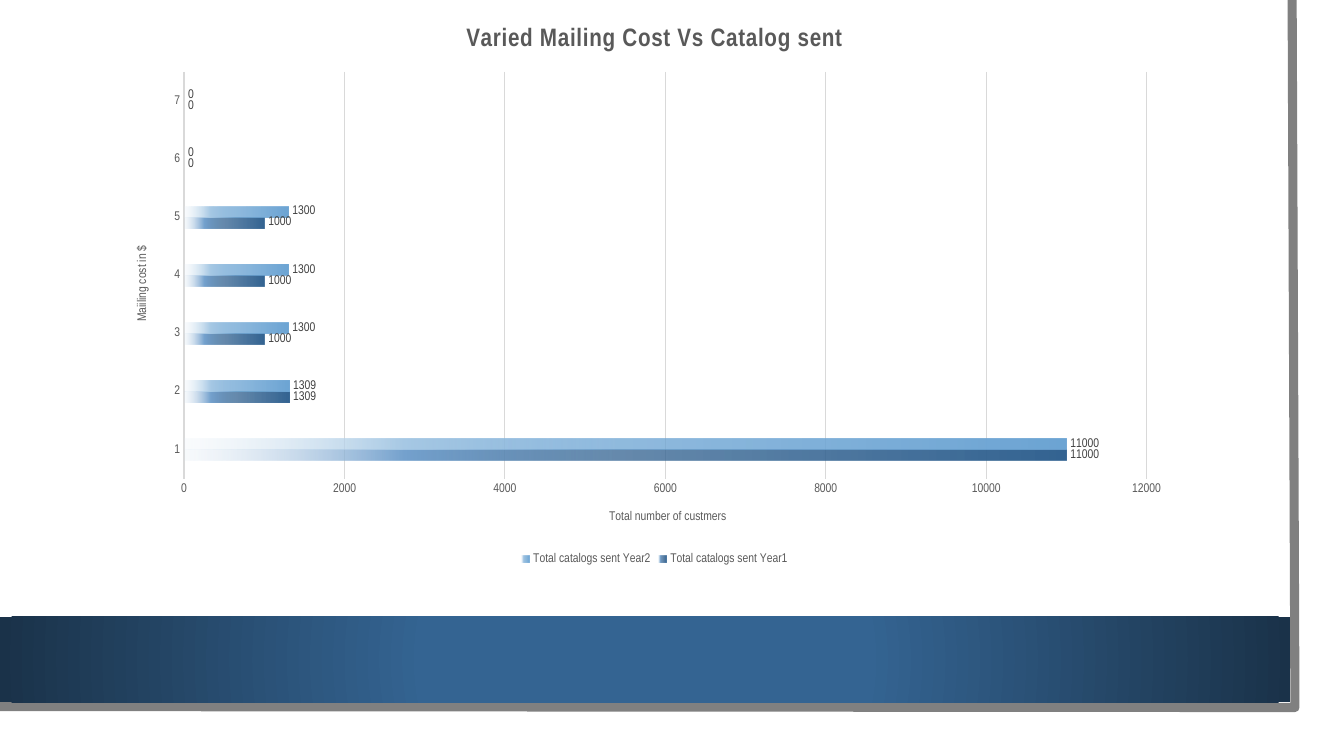
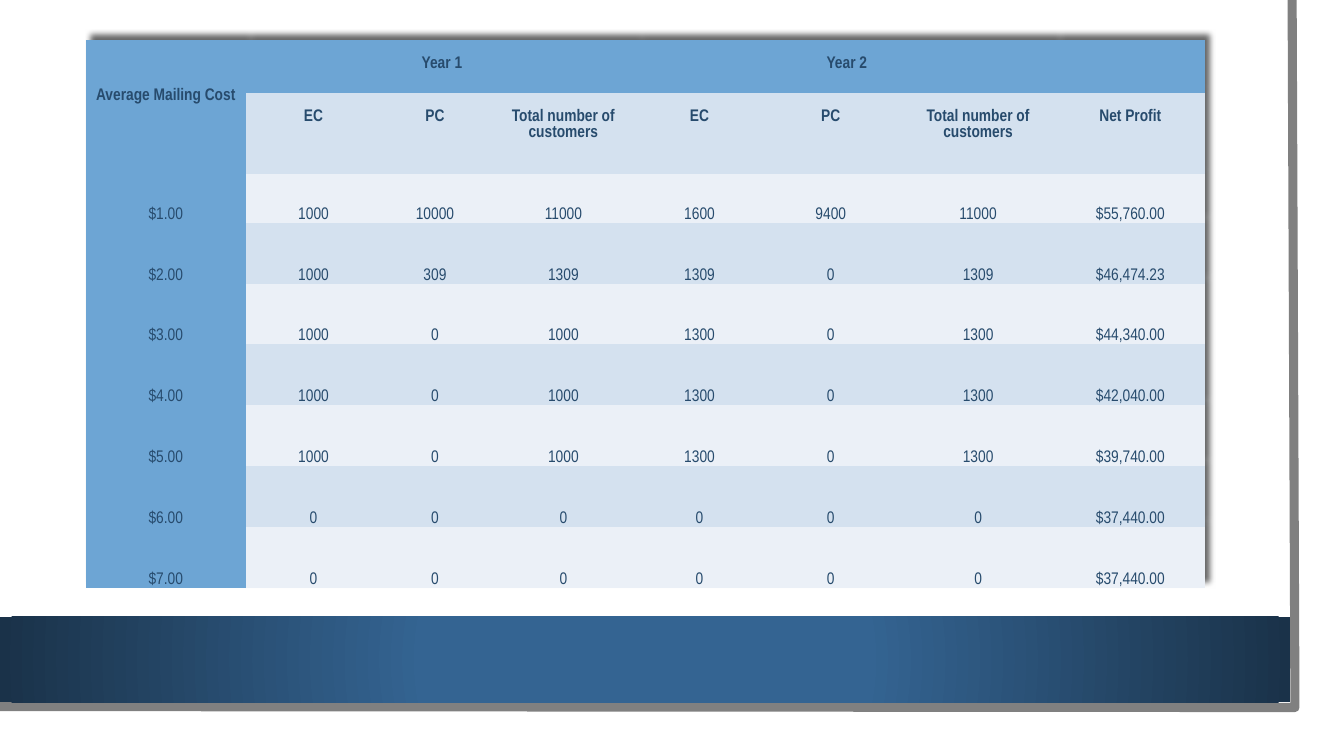
from lxml import etree
from pptx import Presentation
from pptx.chart.data import CategoryChartData
from pptx.dml.color import RGBColor
from pptx.enum.chart import XL_CHART_TYPE, XL_LABEL_POSITION, XL_LEGEND_POSITION, XL_TICK_MARK
from pptx.enum.shapes import MSO_SHAPE
from pptx.enum.text import MSO_ANCHOR, PP_ALIGN
from pptx.oxml import parse_xml
from pptx.oxml.ns import nsdecls, qn
from pptx.util import Pt

BAR_CLUSTERED = XL_CHART_TYPE.BAR_CLUSTERED
OUTSIDE_END = XL_LABEL_POSITION.OUTSIDE_END
LEGEND_BOTTOM = XL_LEGEND_POSITION.BOTTOM
NO_TICKS = XL_TICK_MARK.NONE
RECTANGLE = MSO_SHAPE.RECTANGLE
TOP, BOTTOM = MSO_ANCHOR.TOP, MSO_ANCHOR.BOTTOM
CENTER = PP_ALIGN.CENTER

FONT = "Arial Narrow"
NAVY, SKY, DARK_NAVY = "346492", "6DA5D4", "1A3249"
GRAY, LIGHT_GRAY, FRAME_GRAY, LABEL_GRAY = "595959", "D9D9D9", "808080", "404040"
TABLE_TEXT, BAND_DARK, BAND_LIGHT = "274B6D", "D4E1EF", "EBF0F7"

CHART_TITLE = {"size": Pt(18), "bold": True, "color": GRAY}
CHART_TEXT = {"size": Pt(9), "bold": False, "color": GRAY}
CHART_LABEL = {"size": Pt(9), "bold": False, "color": LABEL_GRAY}
HEADER_TEXT = {"size": Pt(12), "bold": True, "color": TABLE_TEXT}
BODY_TEXT = {"size": Pt(12), "bold": False, "color": TABLE_TEXT}

HEADER_LINE = 11.5
HEADER_CELL = {"vertical_anchor": TOP, "margin_left": Pt(3), "margin_right": Pt(3),
               "margin_top": Pt(HEADER_LINE), "margin_bottom": 0}
CORNER_CELL = {**HEADER_CELL, "margin_top": Pt(3 * HEADER_LINE)}
BODY_CELL = {"vertical_anchor": BOTTOM, "margin_left": Pt(0.7), "margin_right": Pt(0.7),
             "margin_top": Pt(0.7), "margin_bottom": 0}

BAND_STOPS = [(34, NAVY, 100), (100, DARK_NAVY, 100)]
CENTERED_CIRCLE = ('<a:path path="circle">'
                   '<a:fillToRect l="50000" t="50000" r="50000" b="50000"/></a:path>')
RIGHT_TO_LEFT = '<a:lin ang="10800000" scaled="0"/>'
NO_STYLE_TABLE = "{2D5ABB26-0587-4C30-8999-92F81FD0307C}"

CATALOG_SERIES = [
    ("Total catalogs sent Year1", [11000, 1309, 1000, 1000, 1000, 0, 0],
     [(0, NAVY, 100), (51, NAVY, 75), (75, "75A2CE", 100), (100, "D1E0EF", 15)]),
    ("Total catalogs sent Year2", [11000, 1309, 1300, 1300, 1300, 0, 0],
     [(0, SKY, 100), (51, SKY, 75), (75, "A7C9E5", 100), (100, "E2EDF6", 15)]),
]

COLUMN_WIDTHS = [114.5, 96.5, 77, 106.5, 88, 99.5, 111, 106.5]
ROW_HEIGHTS = [38, 58, 34.5] + [43.5] * 6
YEAR_COLUMNS = ["EC", "PC", "Total number of customers"]
TABLE_ROWS = [
    ["Average Mailing Cost", "Year 1", "", "", "Year 2", "", "", ""],
    ["", *YEAR_COLUMNS, *YEAR_COLUMNS, "Net Profit"],
    ["$1.00", "1000", "10000", "11000", "1600", "9400", "11000", "$55,760.00"],
    ["$2.00", "1000", "309", "1309", "1309", "0", "1309", "$46,474.23"],
    ["$3.00", "1000", "0", "1000", "1300", "0", "1300", "$44,340.00"],
    ["$4.00", "1000", "0", "1000", "1300", "0", "1300", "$42,040.00"],
    ["$5.00", "1000", "0", "1000", "1300", "0", "1300", "$39,740.00"],
    ["$6.00", "0", "0", "0", "0", "0", "0", "$37,440.00"],
    ["$7.00", "0", "0", "0", "0", "0", "0", "$37,440.00"],
]
MERGED_CELLS = [((0, 0), (1, 0)), ((0, 1), (0, 3)), ((0, 4), (0, 6))]


def rgb(value):
    return RGBColor.from_string(value)


def set_attributes(target, values):
    for name, value in values.items():
        setattr(target, name, value)


def style_font(font, text_format):
    font.name = FONT
    for name, value in text_format.items():
        if name == "color":
            font.color.rgb = rgb(value)
        else:
            setattr(font, name, value)


def set_gradient(fill, element, stops, direction):
    """Fill with (position %, colour, opacity %) stops."""
    fill.solid()
    stop_xml = "".join(
        f'<a:gs pos="{position * 1000}"><a:srgbClr val="{color}">'
        f'<a:alpha val="{opacity * 1000}"/></a:srgbClr></a:gs>'
        for position, color, opacity in stops)
    gradient = parse_xml(f'<a:gradFill {nsdecls("a")} rotWithShape="1">'
                         f'<a:gsLst>{stop_xml}</a:gsLst>{direction}</a:gradFill>')
    solid = element.find(".//" + qn("a:solidFill"))
    solid.getparent().replace(solid, gradient)


def add_framed_slide(deck):
    """Add a slide with the gray edge and the bottom band."""
    slide = deck.slides.add_slide(deck.slide_layouts[6])
    builder = slide.shapes.build_freeform(Pt(923), 0)
    builder.add_line_segments([(Pt(925), Pt(505.4)), (0, Pt(504.7))], close=False)
    edge = builder.convert_to_shape()
    edge.shadow.inherit = False
    edge.fill.background()
    edge.line.color.rgb = rgb(FRAME_GRAY)
    edge.line.width = Pt(6.5)

    band = slide.shapes.add_shape(RECTANGLE, 0, Pt(440.6), Pt(921.6), Pt(61.2))
    band.shadow.inherit = False
    band.line.fill.background()
    set_gradient(band.fill, band._element.spPr, BAND_STOPS, CENTERED_CIRCLE)
    return slide


def write_title(frame, text, text_format):
    span = frame.paragraphs[0].add_run()
    span.text = text
    style_font(span.font, text_format)
    return span


def set_plot_layout(chart, **fractions):
    """Fix the inner plot area, as fractions of the chart."""
    plot_area = chart._chartSpace.chart.plotArea
    for layout in plot_area.findall(qn("c:layout")):
        plot_area.remove(layout)
    layout = etree.Element(qn("c:layout"))
    manual = etree.SubElement(layout, qn("c:manualLayout"))
    settings = {"layoutTarget": "inner", "xMode": "edge", "yMode": "edge", **fractions}
    for name, value in settings.items():
        etree.SubElement(manual, qn(f"c:{name}")).set("val", str(value))
    plot_area.insert(0, layout)


def style_axis(axis, title):
    axis.major_tick_mark = axis.minor_tick_mark = NO_TICKS
    style_font(axis.tick_labels.font, CHART_TEXT)
    write_title(axis.axis_title.text_frame, title, CHART_TEXT)


def add_catalog_chart(slide):
    data = CategoryChartData(number_format="0")
    data.categories = [str(cost) for cost in range(1, 8)]
    for name, values, _ in CATALOG_SERIES:
        data.add_series(name, values)
    chart = slide.shapes.add_chart(
        BAR_CLUSTERED, Pt(85.7), Pt(2.9), Pt(763.9), Pt(403.9), data).chart
    style_font(chart.font, CHART_TEXT)
    span = write_title(chart.chart_title.text_frame,
                       "Varied Mailing Cost Vs Catalog sent", CHART_TITLE)
    span.font._element.set("spc", "50")
    chart.chart_title.include_in_layout = False
    chart.has_legend = True
    set_attributes(chart.legend, {"position": LEGEND_BOTTOM, "include_in_layout": False})
    style_font(chart.legend.font, CHART_TEXT)
    set_plot_layout(chart, x=0.06, y=0.12, w=0.9, h=0.72)

    cost_axis, customer_axis = chart.category_axis, chart.value_axis
    style_axis(cost_axis, "Maiiling cost in $")
    cost_axis.axis_title.text_frame._txBody.bodyPr.set("rot", "-5400000")
    cost_axis.format.line.color.rgb = rgb(LIGHT_GRAY)
    cost_axis.format.line.width = Pt(1.5)

    style_axis(customer_axis, "Total number of custmers")
    set_attributes(customer_axis, {"minimum_scale": 0, "maximum_scale": 12000,
                                   "major_unit": 2000})
    customer_axis.format.line.fill.background()
    grid_line = customer_axis.major_gridlines.format.line
    grid_line.color.rgb = rgb(LIGHT_GRAY)
    grid_line.width = Pt(0.75)

    plot = chart.plots[0]
    set_attributes(plot, {"gap_width": 326, "vary_by_categories": False})
    for series, (_, _, stops) in zip(plot.series, CATALOG_SERIES):
        set_gradient(series.format.fill, series._element, stops, RIGHT_TO_LEFT)
        labels = series.data_labels
        set_attributes(labels, {"show_value": True, "position": OUTSIDE_END})
        style_font(labels.font, CHART_LABEL)


def cell_color(row, column):
    if row == 0 or column == 0:
        return SKY
    return BAND_DARK if row % 2 else BAND_LIGHT


def fill_cell(cell, row, column, text):
    is_header = row < 2
    cell.fill.solid()
    cell.fill.fore_color.rgb = rgb(cell_color(row, column))
    if is_header:
        set_attributes(cell, HEADER_CELL if column else CORNER_CELL)
    else:
        set_attributes(cell, BODY_CELL)
    para = cell.text_frame.paragraphs[0]
    para.alignment = CENTER
    style_font(para.font, HEADER_TEXT if is_header else BODY_TEXT)
    if text:
        span = para.add_run()
        span.text = text
        style_font(span.font, HEADER_TEXT if is_header else BODY_TEXT)


def add_table_shadow(table):
    properties = table._tbl.tblPr
    properties.find(qn("a:tableStyleId")).text = NO_STYLE_TABLE
    properties.insert(0, parse_xml(
        f'<a:effectLst {nsdecls("a")}>'
        f'<a:outerShdw blurRad="{Pt(4)}" dist="{Pt(5)}" dir="18900000" algn="bl" '
        'rotWithShape="0"><a:srgbClr val="000000"><a:alpha val="60000"/></a:srgbClr>'
        '</a:outerShdw></a:effectLst>'))


def add_profit_table(slide):
    table = slide.shapes.add_table(
        len(ROW_HEIGHTS), len(COLUMN_WIDTHS), Pt(61.2), Pt(28.6),
        Pt(sum(COLUMN_WIDTHS)), Pt(sum(ROW_HEIGHTS))).table
    set_attributes(table, {"first_row": False, "horz_banding": False})
    add_table_shadow(table)
    for column, width in zip(table.columns, COLUMN_WIDTHS):
        column.width = Pt(width)
    for row, height in zip(table.rows, ROW_HEIGHTS):
        row.height = Pt(height)
    for row, texts in enumerate(TABLE_ROWS):
        for column, text in enumerate(texts):
            fill_cell(table.cell(row, column), row, column, text)
    for first, last in MERGED_CELLS:
        table.cell(*first).merge(table.cell(*last))


def main():
    deck = Presentation()
    set_attributes(deck, {"slide_width": Pt(960), "slide_height": Pt(540)})
    add_catalog_chart(add_framed_slide(deck))
    add_profit_table(add_framed_slide(deck))
    deck.save("out.pptx")


if __name__ == "__main__":
    main()
